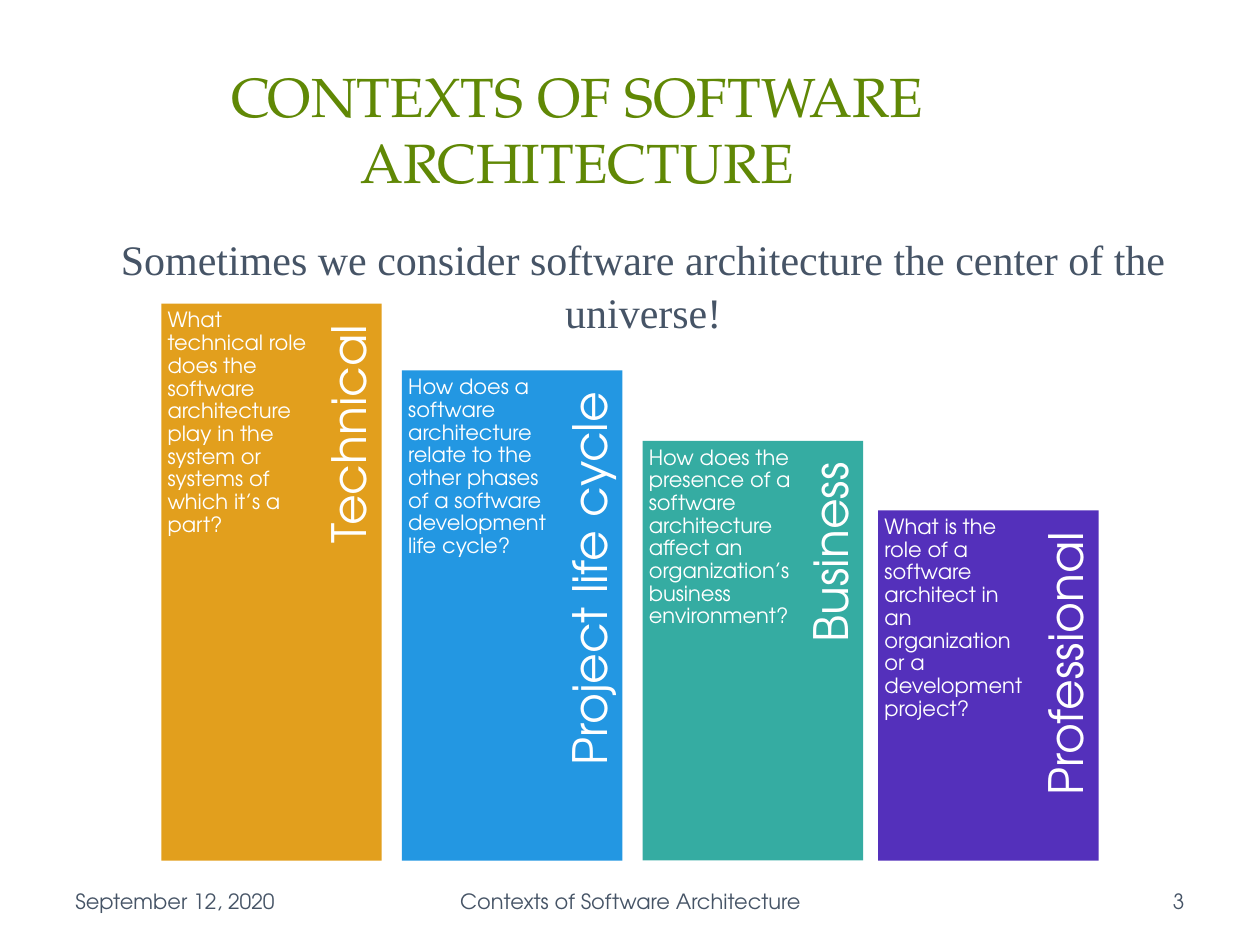
"""Build a slide with four contexts of software architecture as stepped bars."""
from pptx import Presentation
from pptx.dml.color import RGBColor
from pptx.enum.shapes import MSO_SHAPE
from pptx.enum.text import MSO_ANCHOR, MSO_AUTO_SIZE, PP_ALIGN
from pptx.util import Inches, Pt

RECT = MSO_SHAPE.RECTANGLE
TOP, MIDDLE = MSO_ANCHOR.TOP, MSO_ANCHOR.MIDDLE
LEFT, CENTER, RIGHT = PP_ALIGN.LEFT, PP_ALIGN.CENTER, PP_ALIGN.RIGHT
NO_FIT = MSO_AUTO_SIZE.NONE

SANS, SERIF, TIMES = "TeX Gyre Adventor", "TeX Gyre Pagella", "Times New Roman"
COLORS = {
    "title": "608805", "slate": "465466", "white": "FFFFFF",
    "orange": "E29F1D", "blue": "2397E2", "teal": "35ACA2", "purple": "5430BB",
}
BASE, WIDE, NOTE_WIDE, LABEL_HIGH, LABEL_MID = 6.83, 1.75, 1.24, 0.46, 1.53
FOOT_TOP, FOOT_HIGH = 6.95, 0.4
INSETS = (0.1, 0.05, 0.1, 0.05)

BARS = [
    ("Technical", "orange", 1.28, 2.41, 3.98,
     "What technical role does the software architecture play in the system "
     "or systems of which it’s a part?"),
    ("Project life cycle", "blue", 3.19, 2.94, 3.5,
     "How does a software architecture relate to the other phases of a "
     "software development life cycle?"),
    ("Business", "teal", 5.1, 3.5, 3,
     "How does the presence of a software architecture affect an "
     "organization’s business environment?"),
    ("Professional", "purple", 6.97, 4.05, 2.5,
     "What is the role of a software architect in an organization or a "
     "development project?"),
]
FOOTERS = [
    ("September 12, 2020", 0.5, 2.33, LEFT),
    ("Contexts of Software Architecture", 3.42, 3.17, CENTER),
    ("3", 7.17, 2.33, RIGHT),
]


def rgb(name):
    """Return the named colour."""
    return RGBColor.from_string(COLORS[name])


def style(shape, text, size, face, color, align=LEFT, anchor=TOP,
          insets=INSETS, spacing=None):
    """Write text into a shape and format it."""
    frame = shape.text_frame
    frame.text = text
    frame.word_wrap = True
    frame.auto_size = NO_FIT
    frame.vertical_anchor = anchor
    (frame.margin_left, frame.margin_top,
     frame.margin_right, frame.margin_bottom) = map(Inches, insets)
    para = frame.paragraphs[0]
    para.alignment = align
    para.line_spacing = spacing
    font = para.runs[0].font
    font.name, font.size = face, Pt(size)
    font.color.rgb = rgb(color)


def add_text(slide, box, text, size, face, color, **format):
    """Add a formatted text box and return it."""
    shape = slide.shapes.add_textbox(*map(Inches, box))
    style(shape, text, size, face, color, **format)
    return shape


def add_title(slide, text):
    """Place and format the title."""
    title = slide.shapes.title
    title.left, title.top, title.width, title.height = map(
        Inches, (0.47, 0.45, 8.22, 1.14))
    style(title, text, 31.5, SERIF, "title", align=CENTER, anchor=MIDDLE)


def add_bar(slide, label, color, left, top, length, note):
    """Add a bar with its question and upright label."""
    high = BASE - top
    bar = slide.shapes.add_shape(
        RECT, *map(Inches, (left, top, WIDE, high)))
    bar.shadow.inherit = False
    bar.fill.solid()
    bar.fill.fore_color.rgb = rgb(color)
    bar.line.fill.background()
    add_text(slide, (left, top, NOTE_WIDE, high), note, 12, SANS, "white",
             insets=(0.05,) * 4, spacing=0.9)
    box = (left + LABEL_MID - length / 2, top + (length - LABEL_HIGH) / 2,
           length, LABEL_HIGH)
    name = add_text(slide, box, label, 27, SANS, "white", align=RIGHT,
                    anchor=MIDDLE, insets=(0.11, 0, 0.17, 0.04), spacing=0.9)
    name.rotation = 270


def main():
    """Build and save the slide."""
    deck = Presentation()
    deck.slide_width, deck.slide_height = Inches(10), Inches(7.5)
    slide = deck.slides.add_slide(deck.slide_layouts[5])
    add_title(slide, "CONTEXTS OF SOFTWARE ARCHITECTURE")
    add_text(slide, (0.28, 1.78, 9.53, 1.57),
             "Sometimes we consider software architecture the center of the "
             "universe!", 24, TIMES, "slate", align=CENTER,
             insets=(0.22, 0.05, 0.1, 0.05), spacing=1.06)
    for bar in BARS:
        add_bar(slide, *bar)
    for text, left, width, align in FOOTERS:
        add_text(slide, (left, FOOT_TOP, width, FOOT_HIGH), text, 12, SANS,
                 "slate", align=align, anchor=MIDDLE)
    deck.save("out.pptx")


if __name__ == "__main__":
    main()
